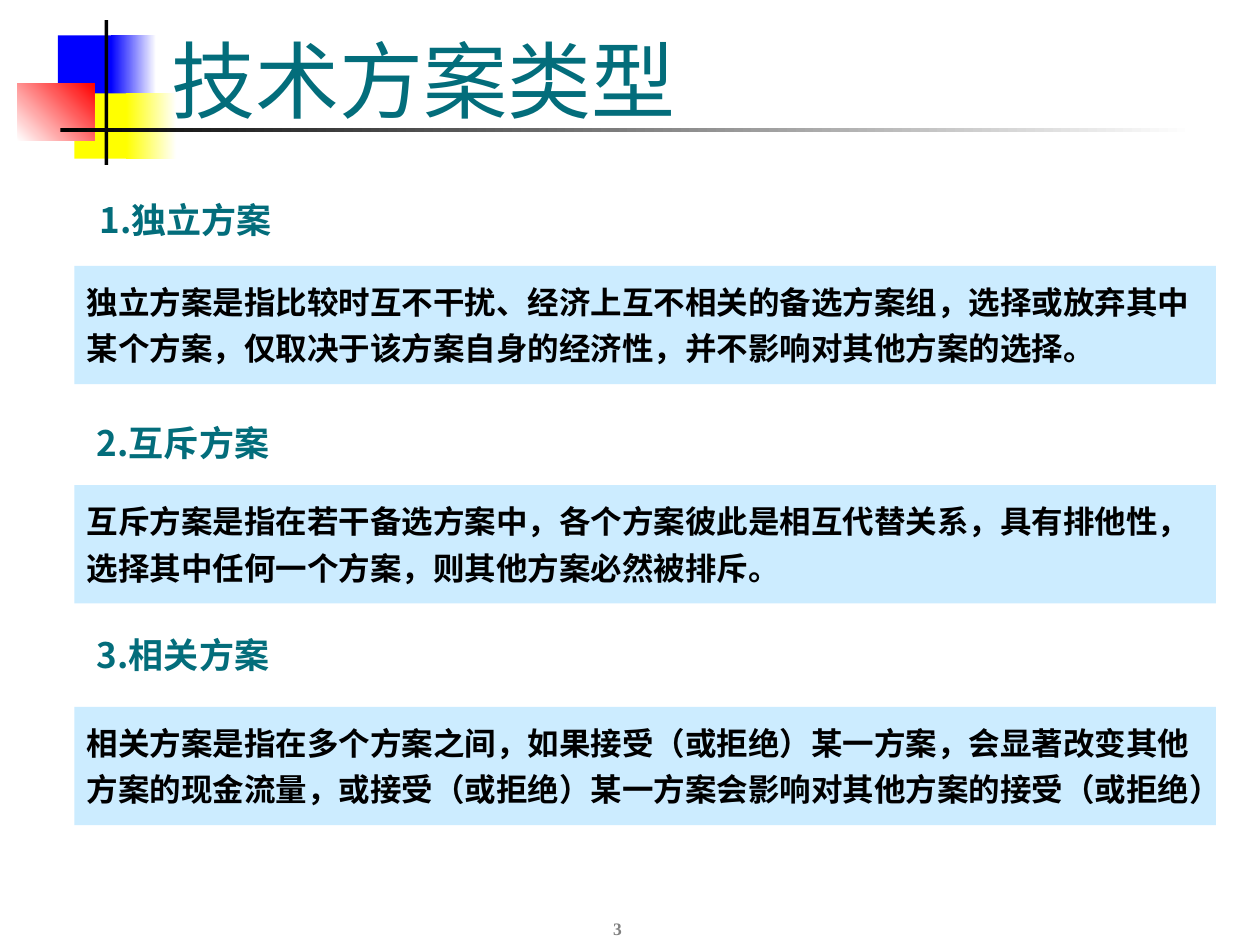
"""Build the slide on types of technical schemes."""
from dataclasses import dataclass
from typing import Optional

from lxml.etree import SubElement
from pptx import Presentation
from pptx.dml.color import RGBColor
from pptx.enum.text import MSO_ANCHOR as Anchor, MSO_AUTO_SIZE as AutoSize, PP_ALIGN as Align
from pptx.enum.shapes import MSO_SHAPE as Shape
from pptx.oxml.ns import qn
from pptx.util import Inches, Pt

CELL = Inches(0.1)
COLUMNS, ROWS = 100, 75

TEAL = RGBColor(0x03, 0x6D, 0x7B)
PALE_BLUE = RGBColor(0xCC, 0xEC, 0xFF)
BLUE = RGBColor(0x00, 0x00, 0xFF)
YELLOW = RGBColor(0xFF, 0xFF, 0x00)
RED = RGBColor(0xFF, 0x00, 0x00)
BLACK = RGBColor(0x00, 0x00, 0x00)
WHITE = RGBColor(0xFF, 0xFF, 0xFF)
GRAY = RGBColor(0x80, 0x80, 0x80)

SERIF = "Times New Roman"
SANS = "Noto Sans CJK SC"


@dataclass(frozen=True)
class Area:
    column: float
    row: float
    columns: float
    rows: float

    def lengths(self) -> tuple:
        return tuple(round(cells * CELL) for cells in
                     (self.column, self.row, self.columns, self.rows))


@dataclass(frozen=True)
class Block:
    area: Area
    color: RGBColor
    fade_to: Optional[RGBColor] = None
    angle: float = 0


@dataclass(frozen=True)
class Scheme:
    heading: str
    heading_column: float
    heading_row: float
    box_row: float
    lines: tuple


ORNAMENT = (
    Block(Area(4.6, 2.8, 4.8, 5.2), BLUE),
    Block(Area(8.8, 2.8, 3.6, 5.2), BLUE, WHITE),
    Block(Area(5.9, 7.4, 4.6, 5.2), YELLOW),
    Block(Area(10, 7.4, 4, 5.2), YELLOW, WHITE),
    Block(Area(1.4, 6.6, 6.1, 4.6), WHITE, RED, 45),
    Block(Area(8.3, 1.6, 0.3, 11.5), BLACK),
    Block(Area(4.8, 10.2, 90, 0.3), BLACK, WHITE),
)

SCHEMES = (
    Scheme("1.独立方案", 6.9, 15.3, 21.1, (
        "独立方案是指比较时互不干扰、经济上互不相关的备选方案组，选择或放弃其中",
        "某个方案，仅取决于该方案自身的经济性，并不影响对其他方案的选择。")),
    Scheme("2.互斥方案", 6.7, 33, 38.5, (
        "互斥方案是指在若干备选方案中，各个方案彼此是相互代替关系，具有排他性，",
        "选择其中任何一个方案，则其他方案必然被排斥。")),
    Scheme("3.相关方案", 6.7, 49.8, 56.1, (
        "相关方案是指在多个方案之间，如果接受（或拒绝）某一方案，会显著改变其他",
        "方案的现金流量，或接受（或拒绝）某一方案会影响对其他方案的接受（或拒绝）")),
)


def write(shape, *lines: str, size: float, color: RGBColor, font: str = SERIF,
          bold: bool = False, align: Align = Align.LEFT, anchor: Anchor = Anchor.TOP,
          wrap: bool = True, auto_size: AutoSize = AutoSize.NONE, gap: float = 0) -> None:
    """Fill a shape with one formatted paragraph per line."""
    frame = shape.text_frame
    frame.word_wrap, frame.auto_size, frame.vertical_anchor = wrap, auto_size, anchor
    for index, line in enumerate(lines):
        para = frame.add_paragraph() if index else frame.paragraphs[0]
        para.alignment = align
        para.space_before = Pt(gap if index else 0)
        span = para.add_run()
        span.text = line
        span.font.size, span.font.bold, span.font.name = Pt(size), bold, font
        span.font.color.rgb = color
        SubElement(span.font._element, qn("a:ea"), typeface=SANS)


def draw_block(slide, block: Block):
    """Draw a borderless rectangle with a plain or fading fill."""
    shape = slide.shapes.add_shape(Shape.RECTANGLE, *block.area.lengths())
    shape.shadow.inherit = False
    shape.line.fill.background()
    if block.fade_to is None:
        shape.fill.solid()
        shape.fill.fore_color.rgb = block.color
        return shape
    shape.fill.gradient()
    shape.fill.gradient_angle = block.angle
    for stop, color, position in zip(shape.fill.gradient_stops,
                                     (block.color, block.fade_to), (0, 1)):
        stop.color.rgb, stop.position = color, position
    return shape


def draw_title(slide, text: str) -> None:
    """Place the title in front of the ornament."""
    title = slide.shapes.title
    title.left, title.top, title.width, title.height = Area(12.6, 1.6, 85.2, 9.2).lengths()
    title.element.getparent().append(title.element)
    write(title, text, size=48, color=TEAL, anchor=Anchor.BOTTOM)


def draw_scheme(slide, scheme: Scheme) -> None:
    """Draw a heading and the box that explains it."""
    area = Area(scheme.heading_column, scheme.heading_row, 44.1, 4.3)
    heading = slide.shapes.add_textbox(*area.lengths())
    write(heading, scheme.heading, size=20, color=TEAL, font=SANS, bold=True,
          auto_size=AutoSize.SHAPE_TO_FIT_TEXT)
    box = draw_block(slide, Block(Area(5.9, scheme.box_row, 90.6, 9.4), PALE_BLUE))
    write(box, *scheme.lines, size=18, color=BLACK, bold=True,
          anchor=Anchor.MIDDLE, wrap=False, gap=5)


def main() -> None:
    """Build and save the deck."""
    deck = Presentation()
    deck.slide_width, deck.slide_height = COLUMNS * CELL, ROWS * CELL
    page = deck.slides.add_slide(deck.slide_layouts[5])
    for block in ORNAMENT:
        draw_block(page, block)
    number = page.shapes.add_textbox(*Area(38.6, 70, 20.8, 5).lengths())
    write(number, "3", size=10, color=GRAY, bold=True, align=Align.CENTER,
          anchor=Anchor.BOTTOM)
    draw_title(page, "技术方案类型")
    for scheme in SCHEMES:
        draw_scheme(page, scheme)
    deck.save("out.pptx")


if __name__ == "__main__":
    main()
